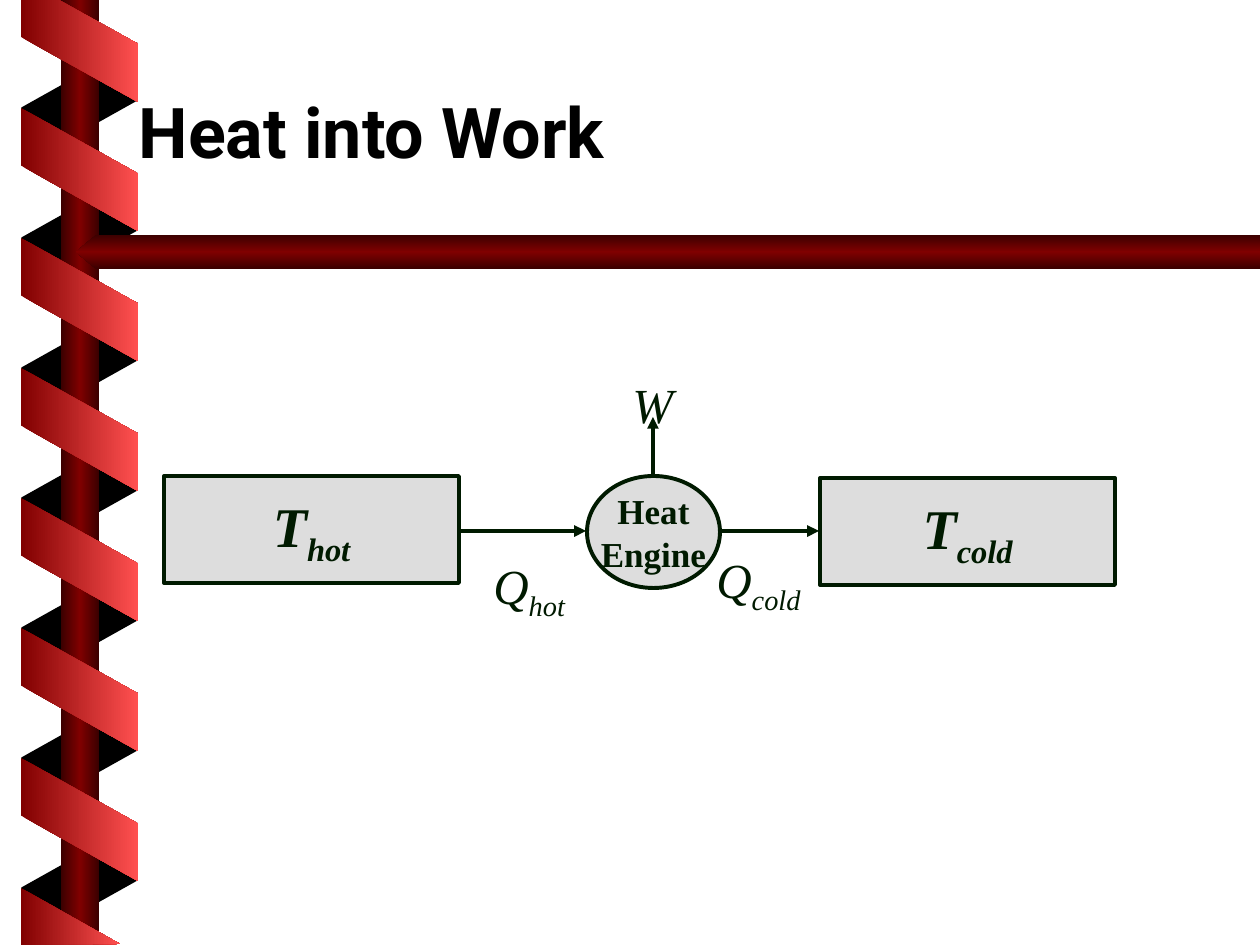
from lxml.etree import SubElement
from pptx import Presentation
from pptx.dml.color import RGBColor
from pptx.enum.shapes import MSO_CONNECTOR, MSO_SHAPE
from pptx.enum.text import MSO_ANCHOR, MSO_AUTO_SIZE, PP_ALIGN
from pptx.oxml.ns import qn
from pptx.util import Emu, Pt

SCALE = 914400 / 126
HUES = {"ink": "001A00", "grey": "DDDDDD", "black": "000000",
        "dark": "3B0000", "red": "800000", "pink": "FF5050"}
POLE = [(0, "dark"), (50, "red"), (100, "dark")]
BAND = [(0, "red"), (100, "pink")]


def px(*vals):
    return [Emu(round(v * SCALE)) for v in vals]


def hue(name):
    return RGBColor.from_string(HUES[name])


class Deck:
    font = "Times New Roman"
    width = Pt(2.25)

    def __init__(self):
        self.prs = Presentation()
        self.prs.slide_width, self.prs.slide_height = px(1260, 945)
        self.slide = self.prs.slides.add_slide(self.prs.slide_layouts[5])
        self.shapes = self.slide.shapes

    def paint(self, shape, fill, angle=0):
        """Fill with one colour name or with a list of gradient stops."""
        shape.shadow.inherit = False
        shape.line.fill.background()
        if isinstance(fill, str):
            shape.fill.solid()
            shape.fill.fore_color.rgb = hue(fill)
            return
        shape.fill.gradient()
        grad = shape._element.spPr.find(qn("a:gradFill"))
        grad.set("rotWithShape", "0")
        stops = grad.find(qn("a:gsLst"))
        for old in list(stops):
            stops.remove(old)
        for at, name in fill:
            stop = SubElement(stops, qn("a:gs"), pos=str(at * 1000))
            SubElement(stop, qn("a:srgbClr"), val=HUES[name])
        grad.find(qn("a:lin")).set("ang", str(angle * 60000))

    def shape(self, kind, box, fill, angle=0):
        item = self.shapes.add_shape(kind, *px(*box))
        self.paint(item, fill, angle)
        return item

    def fold(self, box, fill, turn, flip=False):
        item = self.shape(MSO_SHAPE.PARALLELOGRAM, box, fill)
        item.adjustments[0] = 0.56
        item.rotation = turn
        if flip:
            item._element.spPr.xfrm.set("flipH", "1")

    def free(self, points, fill, angle=0):
        pen = self.shapes.build_freeform(*points[0], scale=SCALE)
        pen.add_line_segments(points[1:], close=True)
        self.paint(pen.convert_to_shape(), fill, angle)

    def style(self, run, size, bold, italic):
        font = run.font
        font.name, font.size = self.font, Pt(size)
        font.bold, font.italic = bold, italic
        font.color.rgb = hue("ink")

    def words(self, frame, text, size, sub="", bold=False, italic=True, align=None):
        frame.text = text
        if sub:
            run = frame.paragraphs[0].add_run()
            run.text = sub
            run._r.get_or_add_rPr().set("baseline", "-25000")
        for para in frame.paragraphs:
            para.alignment = align
            for run in para.runs:
                self.style(run, size, bold, italic)

    def node(self, kind, box, text, size, sub="", italic=True):
        item = self.shape(kind, box, "grey")
        item.line.color.rgb = hue("ink")
        item.line.width = self.width
        frame = item.text_frame
        frame.word_wrap = False
        frame.vertical_anchor = MSO_ANCHOR.MIDDLE
        self.words(frame, text, size, sub, True, italic, PP_ALIGN.CENTER)

    def label(self, box, text, sub="", wrap=True):
        frame = self.shapes.add_textbox(*px(*box)).text_frame
        frame.word_wrap = wrap
        frame.auto_size = MSO_AUTO_SIZE.SHAPE_TO_FIT_TEXT
        self.words(frame, text, 28, sub)

    def arrow(self, *ends):
        item = self.shapes.add_connector(MSO_CONNECTOR.STRAIGHT, *px(*ends))
        item.line.color.rgb = hue("ink")
        item.line.width = self.width
        SubElement(item.line._get_or_add_ln(), qn("a:tailEnd"), type="triangle")
        SubElement(item._element.spPr, qn("a:effectLst"))

    def title(self, box, text):
        item = self.shapes.title
        item.left, item.top, item.width, item.height = px(*box)
        frame = item.text_frame
        frame.text = text
        frame.auto_size = MSO_AUTO_SIZE.NONE
        frame.vertical_anchor = MSO_ANCHOR.BOTTOM
        para = frame.paragraphs[0]
        para.alignment = PP_ALIGN.LEFT
        font = para.runs[0].font
        font.name, font.size, font.bold = "Roboto", Pt(40), True
        font.color.rgb = hue("black")


def main():
    deck = Deck()
    step = 130

    # Ribbon behind the pole, pole and bar
    for k in range(7):
        deck.fold((18, 46 + k * step, 123, 116), "black", 90, flip=True)
    deck.shape(MSO_SHAPE.RECTANGLE, (61, 0, 38, 945), POLE)
    deck.free([(1260, 235), (96, 235), (76, 252), (96, 269), (1260, 269)], POLE, 90)

    # Ribbon in front, cut off at the top and bottom edges
    for k in range(6):
        deck.fold((18, 111 + k * step, 123, 117), BAND, 270)
    deck.free([(21, 0), (21, 37), (138, 102), (138, 44), (59, 0)], BAND)
    deck.free([(120, 944), (21, 888), (21, 945)], BAND)

    deck.title((126, 76, 1184, 103), "Heat into Work")

    # Heat flow from hot to cold through the engine
    deck.node(MSO_SHAPE.RECTANGLE, (164, 476, 295, 107), "T", 32, "hot")
    deck.node(MSO_SHAPE.RECTANGLE, (820, 478, 295, 107), "T", 32, "cold")
    deck.arrow(460, 531, 586, 531)
    deck.arrow(708, 531, 819, 531)
    deck.node(MSO_SHAPE.FLOWCHART_CONNECTOR, (587, 476, 133, 112),
              "Heat\nEngine", 20, italic=False)
    deck.arrow(653, 477, 653, 417)

    # Labels
    deck.label((620, 368, 66, 72), "W", wrap=False)
    deck.label((481, 549, 113, 79), "Q", "hot")
    deck.label((704, 543, 120, 79), "Q", "cold")

    deck.prs.save("out.pptx")


if __name__ == "__main__":
    main()
